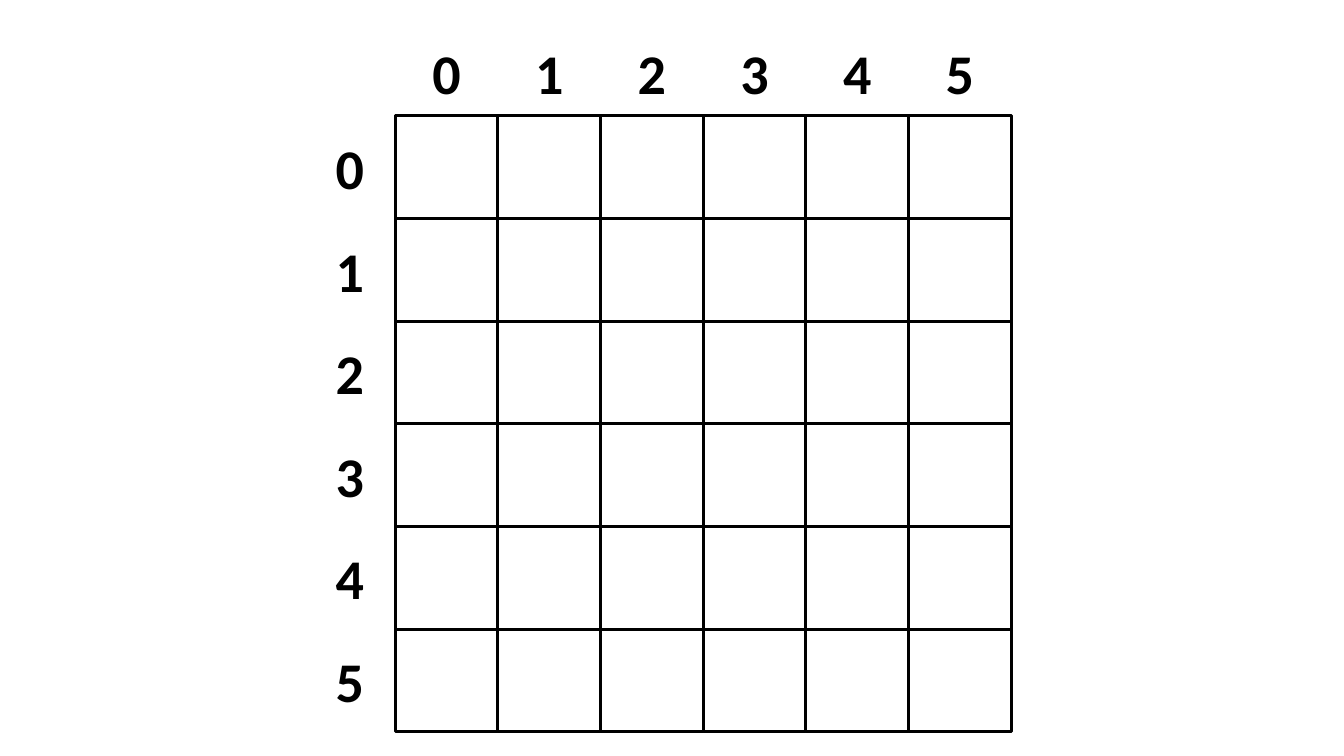
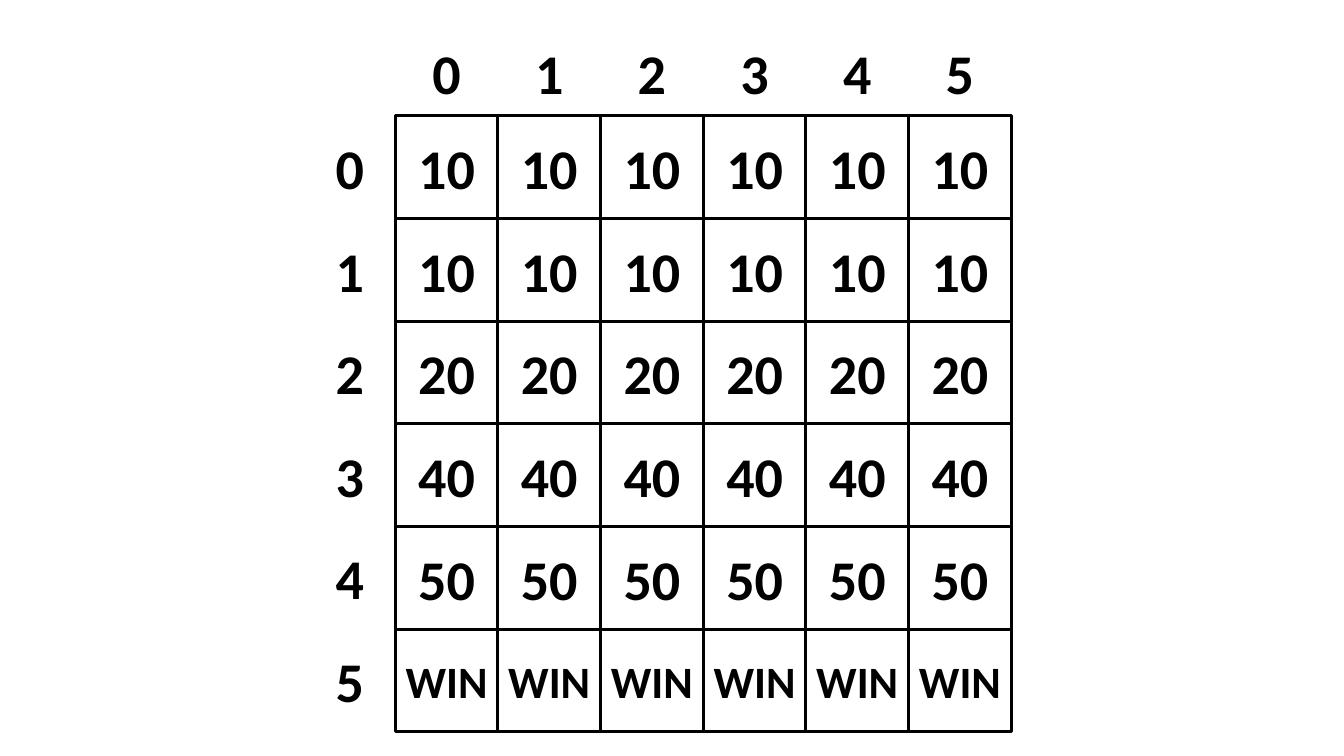
from pptx import Presentation
from pptx import util as u
from pptx.dml.color import RGBColor
from pptx.enum import shapes, text

BLACK = RGBColor(0, 0, 0)
WHITE = RGBColor(255, 255, 255)
FONT = "Calibri"
COUNT = 6
GRID = (3.92, 1.15, 6.11)
LABEL = (0.9, 0.77)
PRIZES = ["10", "10", "20", "40", "50", "WIN"]


def write(shape, words, size=40, bold=True, color=BLACK):
    """Put centred, formatted text into a shape."""
    par = shape.text_frame.paragraphs[0]
    par.alignment = text.PP_ALIGN.CENTER
    run = par.add_run()
    run.text = words
    run.font.name = FONT
    run.font.size = u.Pt(size)
    run.font.bold = bold
    run.font.color.rgb = color


def cell(slide, left, top, side, words):
    """Draw one outlined square with optional text."""
    box = slide.shapes.add_shape(
        shapes.MSO_SHAPE.RECTANGLE,
        u.Inches(left), u.Inches(top), u.Inches(side), u.Inches(side))
    box.shadow.inherit = False
    box.fill.background()
    box.line.color.rgb = BLACK
    box.line.width = u.Pt(2.25)
    frame = box.text_frame
    frame.margin_left = frame.margin_right = 0
    frame.vertical_anchor = text.MSO_ANCHOR.MIDDLE
    if words:
        write(box, words, size=32 if words == "WIN" else 40)


def label(slide, left, top, words):
    """Add one row or column number."""
    wide, high = LABEL
    box = slide.shapes.add_textbox(
        u.Inches(left), u.Inches(top), u.Inches(wide), u.Inches(high))
    box.text_frame.word_wrap = True
    box.text_frame.auto_size = text.MSO_AUTO_SIZE.SHAPE_TO_FIT_TEXT
    write(box, words)


def board(slide, left, top, size, rows):
    """Draw the square grid with its row and column numbers."""
    side = size / COUNT
    wide, high = LABEL
    for row, words in enumerate(rows):
        for col in range(COUNT):
            cell(slide, left + col * side, top + row * side, side, words)
    for num in range(COUNT):
        label(slide, left + num * side + (side - wide) / 2,
              top - high - 0.05, str(num))
    for num in range(COUNT):
        label(slide, left - wide,
              top + num * side + (side - high) / 2, str(num))


def main():
    """Build the empty board and the prize board."""
    deck = Presentation()
    deck.slide_width = u.Inches(13.33)
    deck.slide_height = u.Inches(7.5)
    back = deck.slide_master.background.fill
    back.solid()
    back.fore_color.rgb = WHITE
    for rows in ([""] * COUNT, PRIZES):
        board(deck.slides.add_slide(deck.slide_layouts[6]), *GRID, rows)
    deck.save("out.pptx")


if __name__ == "__main__":
    main()
